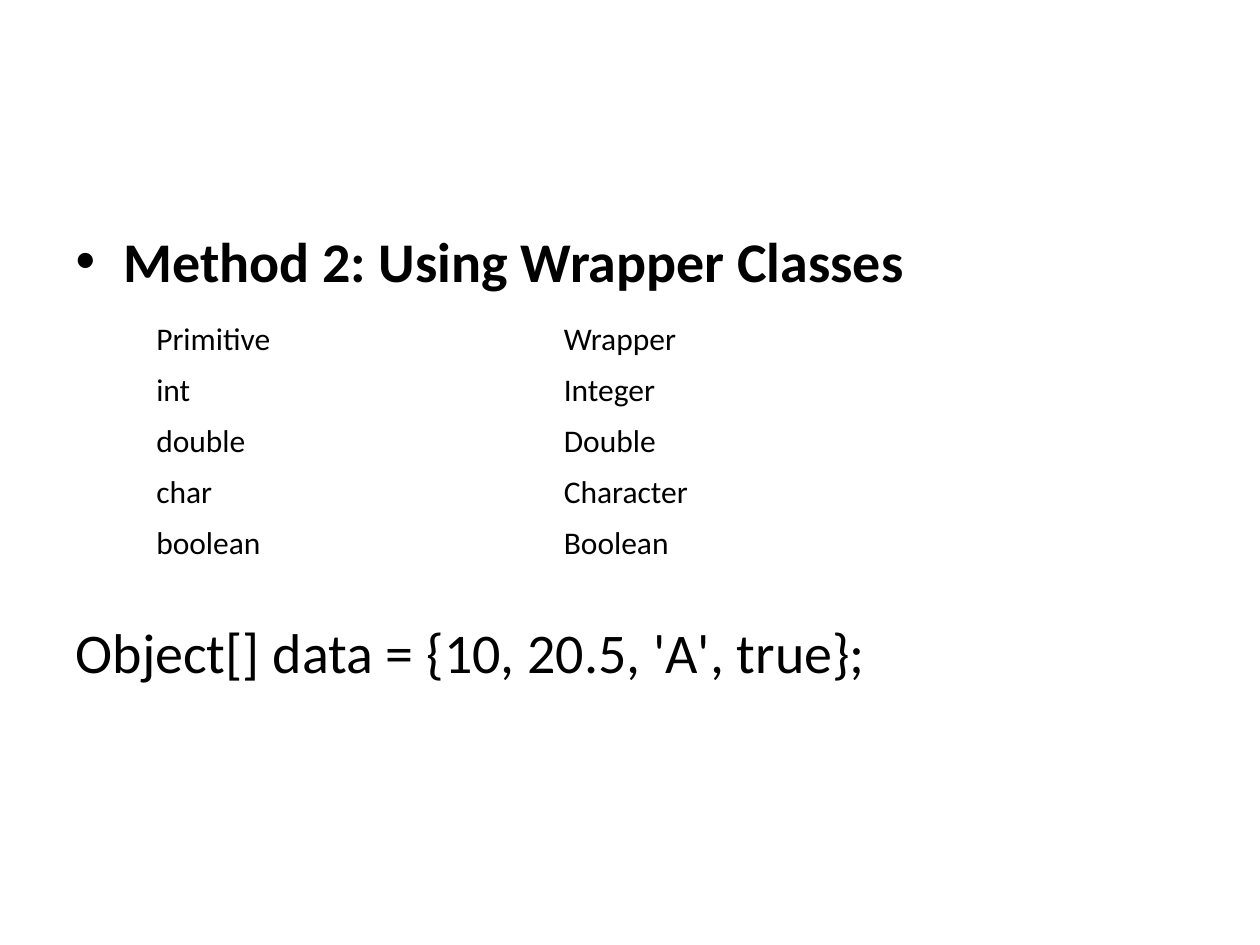
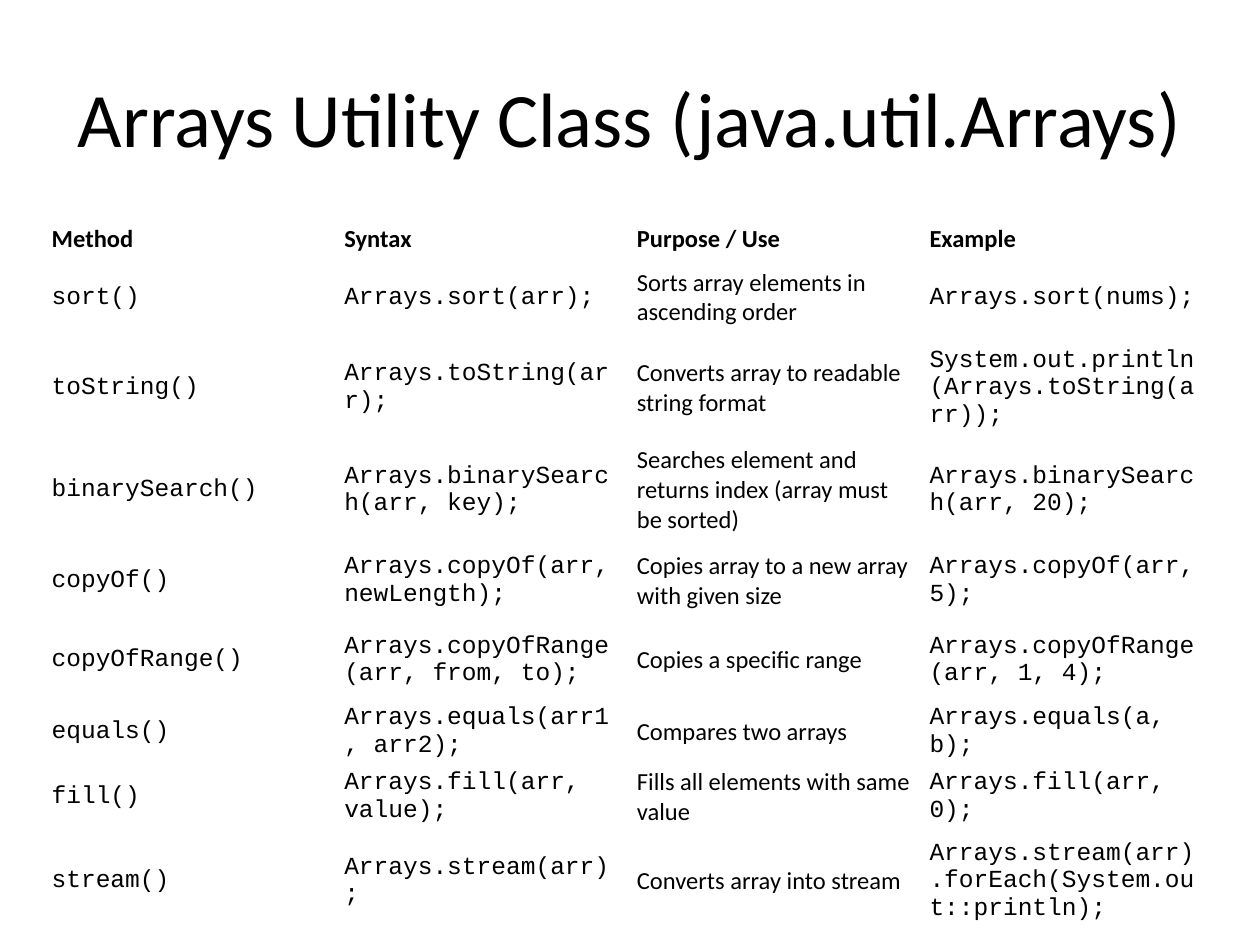
import lxml.etree
import pptx
import pptx.dml.color
import pptx.enum.text
import pptx.oxml.ns
import pptx.util

Inches = pptx.util.Inches
Pt = pptx.util.Pt
ANCHOR = pptx.enum.text.MSO_ANCHOR
ALIGN = pptx.enum.text.PP_ALIGN

COLORS = {"text": "000000"}
SANS, MONO = "Calibri", "Courier New"

TYPES = [
    ("Primitive", "Wrapper"),
    ("int", "Integer"),
    ("double", "Double"),
    ("char", "Character"),
    ("boolean", "Boolean"),
]

METHODS = [
    ("Method", "Syntax", "Purpose / Use", "Example"),
    ("sort()", "Arrays.sort(arr);",
     "Sorts array elements in ascending order", "Arrays.sort(nums);"),
    ("toString()", "Arrays.toString(arr);",
     "Converts array to readable string format",
     "System.out.println(Arrays.toString(arr));"),
    ("binarySearch()", "Arrays.binarySearch(arr, key);",
     "Searches element and returns index (array must be sorted)",
     "Arrays.binarySearch(arr, 20);"),
    ("copyOf()", "Arrays.copyOf(arr, newLength);",
     "Copies array to a new array with given size", "Arrays.copyOf(arr, 5);"),
    ("copyOfRange()", "Arrays.copyOfRange(arr, from, to);",
     "Copies a specific range", "Arrays.copyOfRange(arr, 1, 4);"),
    ("equals()", "Arrays.equals(arr1, arr2);",
     "Compares two arrays", "Arrays.equals(a, b);"),
    ("fill()", "Arrays.fill(arr, value);",
     "Fills all elements with same value", "Arrays.fill(arr, 0);"),
    ("stream()", "Arrays.stream(arr);", "Converts array into stream",
     "Arrays.stream(arr).forEach(System.out::println);"),
]
HEIGHTS = [0.25, 0.63, 0.81, 0.81, 0.63, 0.63, 0.44, 0.44, 0.81]
MARGINS = {"margin_left": 0.06, "margin_right": 0.06,
           "margin_top": 0.03, "margin_bottom": 0.03}


def assign(target, values):
    for name, value in values.items():
        setattr(target, name, value)


def write(para, text, size, font=SANS, bold=False):
    run = para.add_run()
    run.text = text
    assign(run.font, {"name": font, "size": Pt(size), "bold": bold})
    run.font.color.rgb = pptx.dml.color.RGBColor.from_string(COLORS["text"])


def place(shape, left, top, width, height):
    assign(shape, {"left": Inches(left), "top": Inches(top),
                   "width": Inches(width), "height": Inches(height)})


def prepare(holder, box, anchor):
    """Move a placeholder and return its text frame."""
    place(holder, *box)
    frame = holder.text_frame
    assign(frame, {"word_wrap": True, "vertical_anchor": anchor,
                   "auto_size": pptx.enum.text.MSO_AUTO_SIZE.NONE})
    return frame


def set_bullet(para, mark=None):
    """Hang the paragraph on a mark, or clear bullet and indent."""
    props = para._p.get_or_add_pPr()
    indent = Inches(0.38) if mark else 0
    props.set("marL", str(indent))
    props.set("indent", str(-indent))
    tag = pptx.oxml.ns.qn("a:buChar" if mark else "a:buNone")
    item = lxml.etree.SubElement(props, tag)
    if mark:
        item.set("char", mark)


def add_title(slide, text):
    frame = prepare(slide.shapes.title, (0.5, 0.3, 9, 1.25), ANCHOR.MIDDLE)
    para = frame.paragraphs[0]
    para.alignment = ALIGN.CENTER
    write(para, text, 44)


def add_body(slide, point, code):
    """Write a bullet point, then a code line below the room for a table."""
    frame = prepare(slide.placeholders[1], (0.5, 1.75, 9, 4.95), ANCHOR.TOP)
    head = frame.paragraphs[0]
    set_bullet(head, "•")
    head.space_before = Pt(0)
    write(head, point, 32, bold=True)
    line = frame.add_paragraph()
    set_bullet(line)
    line.space_before = Pt(185)
    write(line, code, 32)


def add_grid(slide, rows, left, top, width, heights, size,
             margins=None, header=False, mono=()):
    """Add a plain table; the columns in mono hold code below the header."""
    count = len(rows[0])
    table = slide.shapes.add_table(
        len(rows), count, Inches(left), Inches(top),
        Inches(width), Inches(sum(heights))).table
    assign(table, {"first_row": header, "horz_banding": False})
    insets = {name: Inches(value) for name, value in (margins or {}).items()}
    for r, (row, height) in enumerate(zip(rows, heights)):
        table.rows[r].height = Inches(height)
        for c, text in enumerate(row):
            cell = table.cell(r, c)
            cell.fill.background()
            assign(cell, {"vertical_anchor": ANCHOR.MIDDLE, **insets})
            top_row = header and r == 0
            font = MONO if c in mono and not top_row else SANS
            write(cell.text_frame.paragraphs[0], text, size, font, top_row)


def build_types(deck):
    slide = deck.slides.add_slide(deck.slide_layouts[1])
    title = slide.shapes.title._element
    title.getparent().remove(title)
    add_body(slide, "Method 2: Using Wrapper Classes",
             "Object[] data = {10, 20.5, 'A', true};")
    add_grid(slide, TYPES, 1.14, 2.49, 6.47, [0.4] * len(TYPES), 18)


def build_methods(deck):
    slide = deck.slides.add_slide(deck.slide_layouts[5])
    add_title(slide, "Arrays Utility Class (java.util.Arrays)")
    add_grid(slide, METHODS, 0.35, 1.75, 9.29, HEIGHTS, 14,
             MARGINS, header=True, mono=(0, 1, 3))


def main():
    deck = pptx.Presentation()
    assign(deck, {"slide_width": Inches(10), "slide_height": Inches(7.5)})
    build_types(deck)
    build_methods(deck)
    deck.save("out.pptx")


if __name__ == "__main__":
    main()
